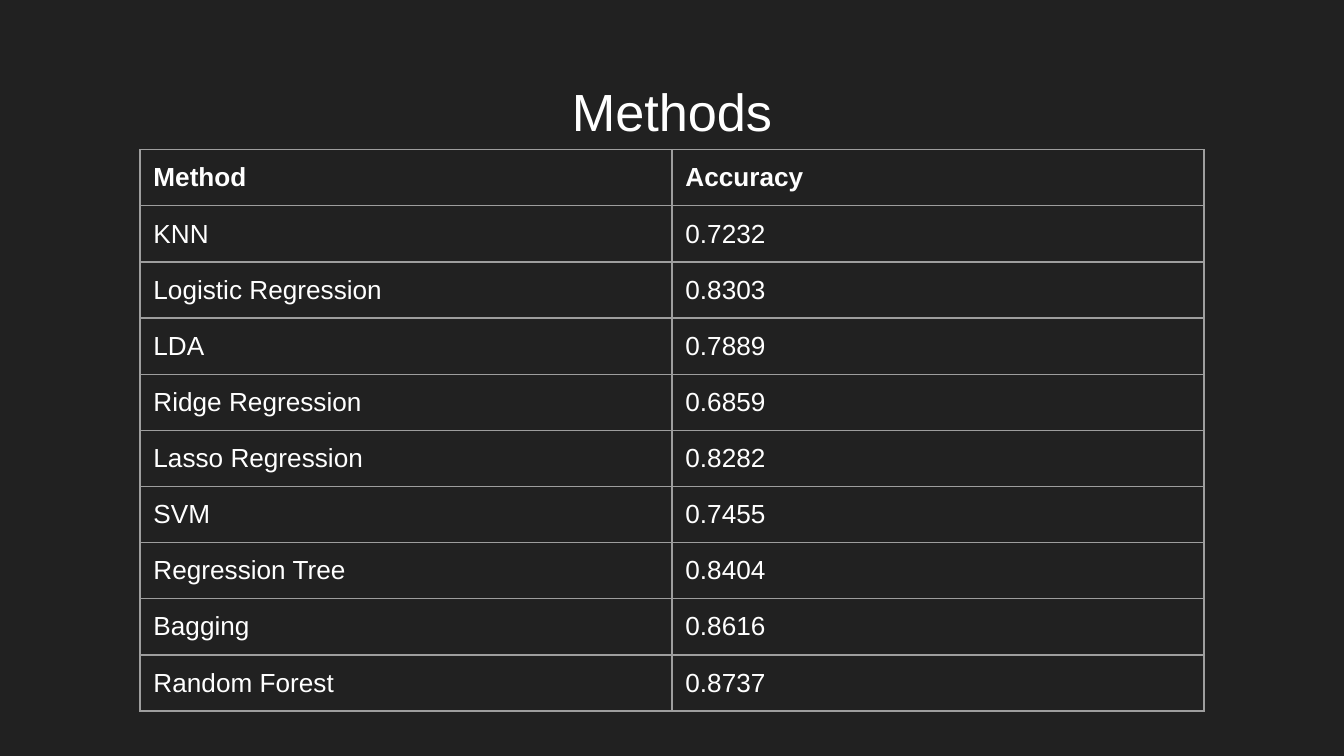
from pptx import Presentation
from pptx.dml.color import RGBColor
from pptx.enum.text import MSO_ANCHOR, PP_ALIGN
from pptx.oxml import parse_xml
from pptx.oxml.ns import nsdecls
from pptx.util import Pt

HUES = {"back": "212121", "text": "FFFFFF", "line": "9E9E9E"}
ROWS = [
    ("Method", "Accuracy"),
    ("KNN", "0.7232"),
    ("Logistic Regression", "0.8303"),
    ("LDA", "0.7889"),
    ("Ridge Regression", "0.6859"),
    ("Lasso Regression", "0.8282"),
    ("SVM", "0.7455"),
    ("Regression Tree", "0.8404"),
    ("Bagging", "0.8616"),
    ("Random Forest", "0.8737"),
]
PAD = 7.2


def write(frame, text, size=14, bold=False, align=PP_ALIGN.LEFT):
    para = frame.paragraphs[0]
    para.alignment = align
    run = para.add_run()
    run.text = text
    font = run.font
    font.name = "Arial"
    font.size = Pt(size)
    font.bold = bold
    font.color.rgb = RGBColor.from_string(HUES["text"])


def add_title(slide, text):
    box = slide.shapes.add_textbox(Pt(24.5), Pt(35.3), Pt(671), Pt(45.4))
    frame = box.text_frame
    frame.word_wrap = True
    frame.vertical_anchor = MSO_ANCHOR.TOP
    frame.margin_left = frame.margin_right = Pt(PAD)
    frame.margin_top, frame.margin_bottom = Pt(PAD), Pt(0)
    write(frame, text, size=28, align=PP_ALIGN.CENTER)


def add_edges(cell):
    props = cell._tc.get_or_add_tcPr()
    for spot, side in enumerate("LRTB"):
        props.insert(spot, parse_xml(
            f'<a:ln{side} {nsdecls("a")} w="{Pt(0.75)}"><a:solidFill>'
            f'<a:srgbClr val="{HUES["line"]}"/></a:solidFill></a:ln{side}>'))


def add_grid(slide, rows, wide=285, high=30.1):
    count = len(rows[0])
    grid = slide.shapes.add_table(
        len(rows), count, Pt(75), Pt(80.2),
        Pt(wide * count), Pt(high * len(rows))).table
    grid.horz_banding = False
    for col in grid.columns:
        col.width = Pt(wide)
    for i, row in enumerate(rows):
        grid.rows[i].height = Pt(high)
        for j, text in enumerate(row):
            cell = grid.cell(i, j)
            cell.fill.background()
            cell.margin_left = cell.margin_right = Pt(PAD)
            cell.margin_top, cell.margin_bottom = Pt(PAD), Pt(5.8)
            add_edges(cell)
            write(cell.text_frame, text, bold=i == 0)


def main():
    deck = Presentation()
    deck.slide_width, deck.slide_height = Pt(720), Pt(405)
    slide = deck.slides.add_slide(deck.slide_layouts[6])
    fill = slide.background.fill
    fill.solid()
    fill.fore_color.rgb = RGBColor.from_string(HUES["back"])
    add_title(slide, "Methods")
    add_grid(slide, ROWS)
    deck.save("out.pptx")


if __name__ == "__main__":
    main()
